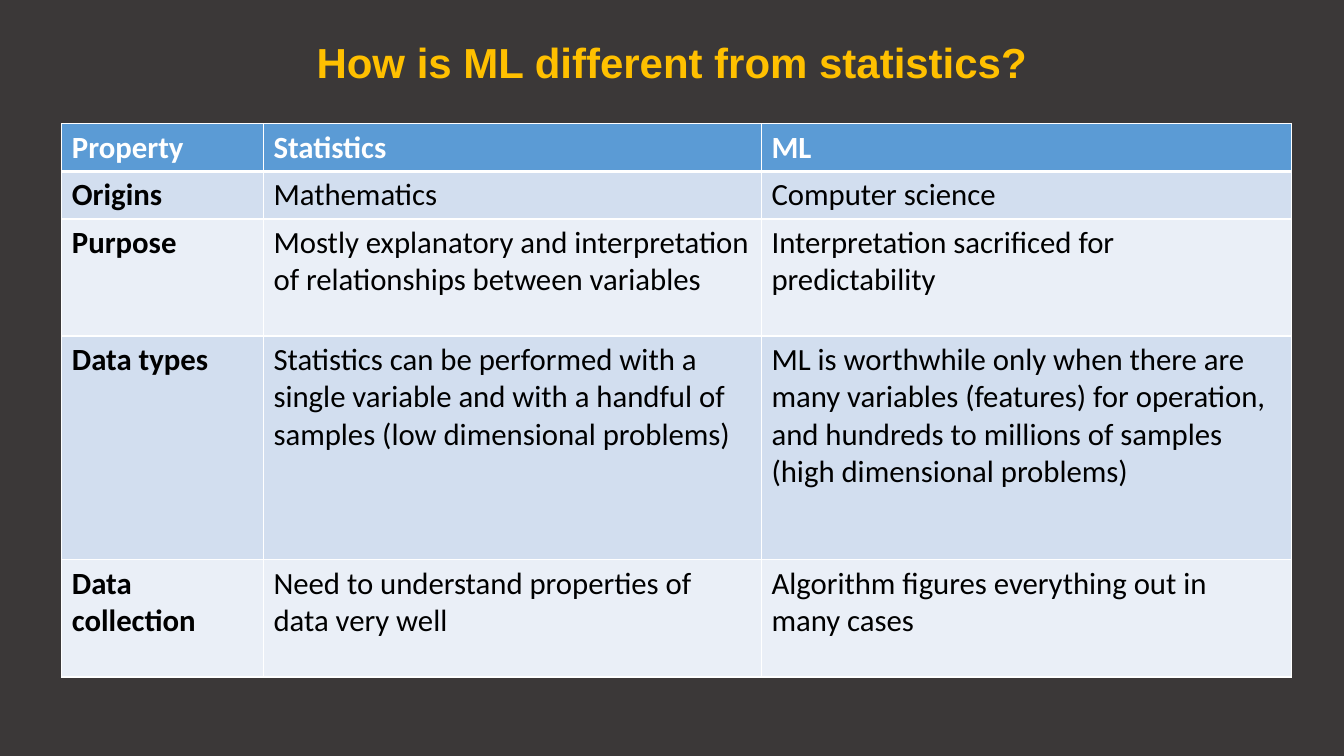
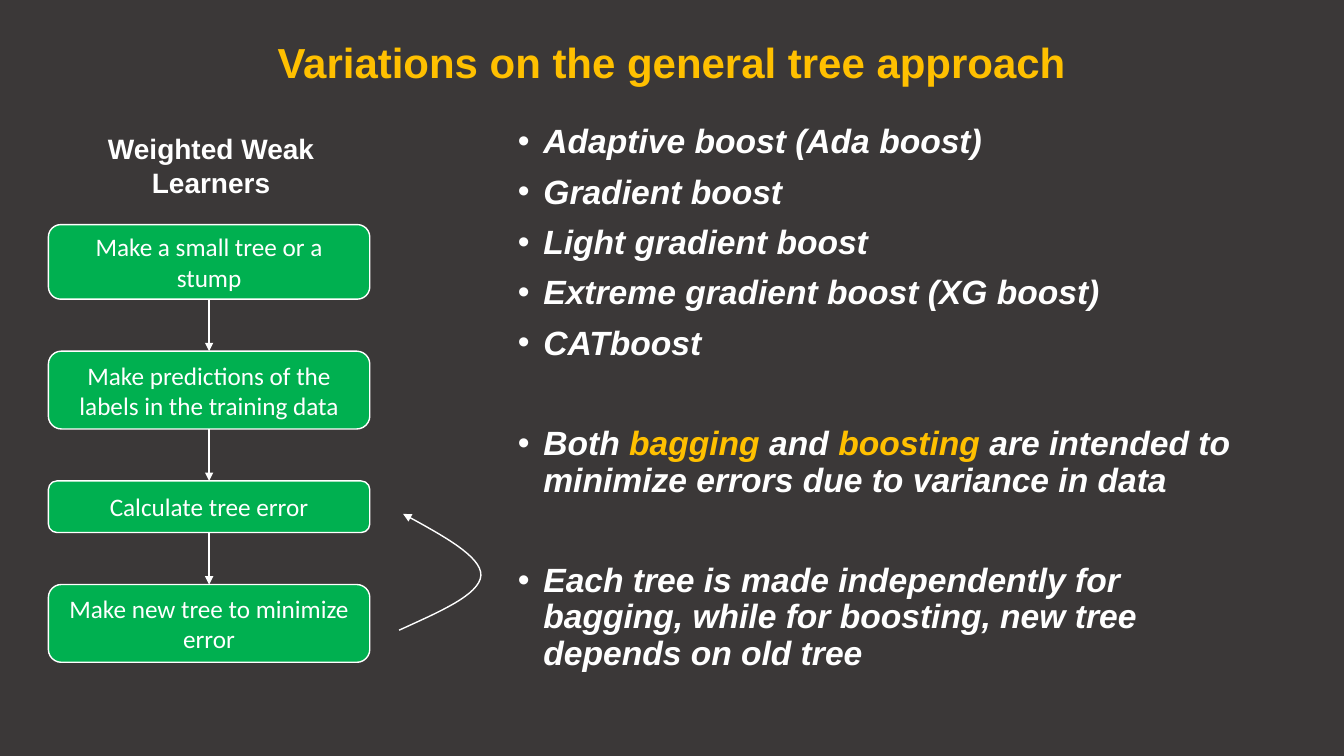
from lxml import etree
from pptx import Presentation
from pptx.dml.color import RGBColor
from pptx.enum.shapes import MSO_CONNECTOR, MSO_SHAPE
from pptx.enum.text import MSO_ANCHOR, MSO_AUTO_SIZE, PP_ALIGN
from pptx.oxml.ns import qn
from pptx.util import Cm, Pt

STRAIGHT = MSO_CONNECTOR.STRAIGHT
ROUNDED = MSO_SHAPE.ROUNDED_RECTANGLE
MIDDLE = MSO_ANCHOR.MIDDLE
CENTER = PP_ALIGN.CENTER
NO_FIT = MSO_AUTO_SIZE.NONE
GROW = MSO_AUTO_SIZE.SHAPE_TO_FIT_TEXT

DARK = RGBColor(0x3B, 0x38, 0x38)
GOLD = RGBColor(0xFF, 0xC0, 0x00)
WHITE = RGBColor(0xFF, 0xFF, 0xFF)
BLACK = RGBColor(0x00, 0x00, 0x00)
BLUE = RGBColor(0x5B, 0x9B, 0xD5)
BANDS = (RGBColor(0xEA, 0xEF, 0xF7), RGBColor(0xD2, 0xDE, 0xEF))
GREEN = RGBColor(0x00, 0xB0, 0x50)

TITLE_ONLY, TITLE_BODY = 5, 1
TOP, BOTTOM = 0, 2

# Content
ROWS = [
    ("Property", "Statistics", "ML"),
    ("Origins", "Mathematics", "Computer science"),
    ("Purpose",
     "Mostly explanatory and interpretation of relationships between variables",
     "Interpretation sacrificed for predictability"),
    ("Data types",
     "Statistics can be performed with a single variable and with a handful "
     "of samples (low dimensional problems)",
     "ML is worthwhile only when there are many variables (features) for "
     "operation, and hundreds to millions of samples (high dimensional "
     "problems)"),
    ("Data collection",
     "Need to understand properties of data very well",
     "Algorithm figures everything out in many cases"),
]
WIDTHS = (5.08, 12.55, 13.36)
HEIGHTS = (1.17, 1.17, 2.95, 5.64, 2.95)

# Space before in points, then runs of text and colour
POINTS = [
    (0, [("Adaptive boost (Ada boost)", WHITE)]),
    (10, [("Gradient boost", WHITE)]),
    (10, [("Light gradient boost", WHITE)]),
    (10, [("Extreme gradient boost (XG boost)", WHITE)]),
    (10, [("CATboost", WHITE)]),
    (46, [("Both ", WHITE), ("bagging", GOLD), (" and ", WHITE),
          ("boosting", GOLD),
          (" are intended to minimize errors due to variance in data", WHITE)]),
    (46, [("Each tree is made independently for bagging, while for boosting, "
           "new tree depends on old tree", WHITE)]),
]

STEPS = [
    ("Make a small tree or a stump", 1.88),
    ("Make predictions of the labels in the training data", 1.96),
    ("Calculate tree error", 1.3),
    ("Make new tree to minimize error", 1.96),
]
STEP_LEFT, STEP_TOP, STEP_WIDTH, STEP_GAP = 1.22, 5.66, 8.1, 1.31

# Bezier curves of the arrow that leads back, in cm
LOOP = [
    ((10.06, 15.88), (11.07, 15.42), (12.09, 14.99), (12.12, 14.5)),
    ((12.12, 14.5), (12.14, 14.02), (11.15, 13.49), (10.16, 12.95)),
]


def place(shape, left, top, width, height):
    shape.left, shape.top = Cm(left), Cm(top)
    shape.width, shape.height = Cm(width), Cm(height)


def style(para, face, size, color=None, bold=False, italic=False):
    font = para.font
    font.name, font.size = face, Pt(size)
    font.bold, font.italic = bold, italic
    if color is not None:
        font.color.rgb = color


def add_slide(deck, layout, text):
    slide = deck.slides.add_slide(deck.slide_layouts[layout])
    title = slide.shapes.title
    place(title, 2.33, 0.84, 29.21, 1.57)
    frame = title.text_frame
    frame.text = text
    frame.auto_size = NO_FIT
    frame.vertical_anchor = MIDDLE
    para = frame.paragraphs[0]
    para.alignment, para.line_spacing = CENTER, 0.9
    style(para, "Arial", 30, GOLD, bold=True)
    return slide


def add_border(cell, sides):
    """Draw white cell borders; sides maps a side letter to points."""
    props = cell._tc.get_or_add_tcPr()
    for spot, (side, width) in enumerate(sides.items()):
        line = etree.Element(qn("a:ln" + side), w=str(Pt(width)))
        fill = etree.SubElement(line, qn("a:solidFill"))
        etree.SubElement(fill, qn("a:srgbClr"), val=str(WHITE))
        props.insert(spot, line)


def add_grid(slide):
    table = slide.shapes.add_table(
        len(ROWS), len(WIDTHS), Cm(1.56), Cm(3.12),
        Cm(sum(WIDTHS)), Cm(sum(HEIGHTS))).table
    table.horz_banding = False
    for col, width in zip(table.columns, WIDTHS):
        col.width = Cm(width)
    for r, (texts, height) in enumerate(zip(ROWS, HEIGHTS)):
        table.rows[r].height = Cm(height)
        head = r == 0
        for c, text in enumerate(texts):
            cell = table.cell(r, c)
            cell.text = text
            style(cell.text_frame.paragraphs[0], "Calibri", 22,
                  WHITE if head else BLACK, bold=head or c == 0)
            cell.fill.solid()
            cell.fill.fore_color.rgb = BLUE if head else BANDS[r % 2]
            add_border(cell, {"L": 1, "R": 1, "T": 3 if r == 1 else 1,
                              "B": 3 if head else 1})


def add_list(slide):
    body = slide.placeholders[1]
    place(body, 12.8, 3.02, 18.54, 14.1)
    frame = body.text_frame
    frame.auto_size = NO_FIT
    for i, (space, runs) in enumerate(POINTS):
        para = frame.add_paragraph() if i else frame.paragraphs[0]
        props = para._p.get_or_add_pPr()
        props.set("marL", str(Cm(0.64)))
        props.set("indent", str(Cm(-0.64)))
        etree.SubElement(props, qn("a:buChar"), char="•")
        para.line_spacing, para.space_before = 0.9, Pt(space)
        style(para, "Arial", 24, WHITE, bold=True, italic=True)
        for text, color in runs:
            run = para.add_run()
            run.text = text
            if color != WHITE:
                run.font.color.rgb = color


def set_line(shape, width, arrow=False):
    shape.line.color.rgb = WHITE
    shape.line.width = Pt(width)
    if arrow:
        line = shape.line._get_or_add_ln()
        etree.SubElement(line, qn("a:tailEnd"), type="triangle")


def add_step(slide, text, top, height):
    box = slide.shapes.add_shape(
        ROUNDED, Cm(STEP_LEFT), Cm(top), Cm(STEP_WIDTH), Cm(height))
    box.shadow.inherit = False
    box.fill.solid()
    box.fill.fore_color.rgb = GREEN
    set_line(box, 1)
    frame = box.text_frame
    frame.text = text
    frame.word_wrap = True
    frame.vertical_anchor = MIDDLE
    para = frame.paragraphs[0]
    para.alignment = CENTER
    style(para, "Calibri", 18, WHITE)
    return box


def add_arrow(slide, start, end):
    arrow = slide.shapes.add_connector(STRAIGHT, 0, 0, 0, 0)
    arrow.begin_connect(start, BOTTOM)
    arrow.end_connect(end, TOP)
    set_line(arrow, 1.5, arrow=True)
    etree.SubElement(arrow._element.spPr, qn("a:effectLst"))


def bezier(curve, t):
    """Return the point at t, from 0 to 1, on a cubic curve."""
    u = 1 - t
    parts = (u ** 3, 3 * u * u * t, 3 * u * t * t, t ** 3)
    return tuple(Cm(sum(k * p[axis] for k, p in zip(parts, curve)))
                 for axis in (0, 1))


def add_loop(slide, count=16):
    dots = [bezier(curve, n / count)
            for curve in LOOP for n in range(1, count + 1)]
    pen = slide.shapes.build_freeform(*bezier(LOOP[0], 0))
    pen.add_line_segments(dots, close=False)
    loop = pen.convert_to_shape()
    loop.shadow.inherit = False
    loop.fill.background()
    set_line(loop, 1, arrow=True)


def add_flow(slide):
    top, last = STEP_TOP, None
    for text, height in STEPS:
        box = add_step(slide, text, top, height)
        if last is not None:
            add_arrow(slide, last, box)
        top, last = top + height + STEP_GAP, box
    add_loop(slide)


def add_label(slide):
    label = slide.shapes.add_textbox(Cm(1.27), Cm(3.2), Cm(8.1), Cm(1.96))
    frame = label.text_frame
    frame.text = "Weighted Weak Learners"
    frame.word_wrap = True
    frame.auto_size = GROW
    para = frame.paragraphs[0]
    para.alignment = CENTER
    style(para, "Arial", 20, WHITE, bold=True)


def main():
    deck = Presentation()
    deck.slide_width, deck.slide_height = Cm(33.87), Cm(19.05)
    back = deck.slide_master.background.fill
    back.solid()
    back.fore_color.rgb = DARK

    add_grid(add_slide(deck, TITLE_ONLY, "How is ML different from statistics?"))

    trees = add_slide(deck, TITLE_BODY, "Variations on the general tree approach")
    add_list(trees)
    add_flow(trees)
    add_label(trees)
    deck.save("out.pptx")


if __name__ == "__main__":
    main()
